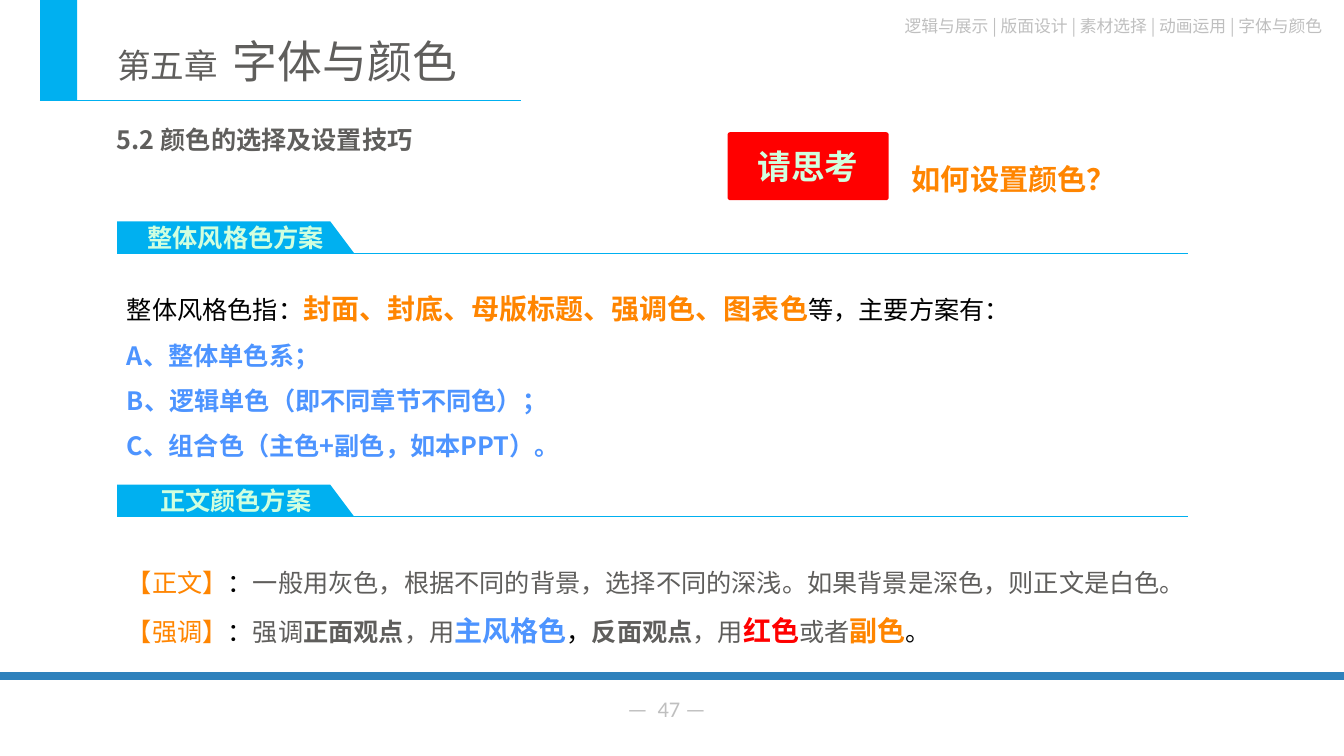
from lxml.etree import SubElement
from pptx import Presentation
from pptx.dml.color import RGBColor
from pptx.enum.shapes import MSO_CONNECTOR as Connector, MSO_SHAPE as Shape
from pptx.enum.text import MSO_ANCHOR as Anchor, PP_ALIGN as Align
from pptx.oxml.ns import qn
from pptx.util import Pt

EMU_PER_PX = 9080
ACCENT, ORANGE, BLUE, RED = "00B0F0", "FF8500", "4D94FF", "FF0000"
GRAY, PALE, MINT, BLACK, BAR = "5F5E5C", "BFBFBF", "D1FFDF", "000000", "2E81BC"


def px(*lengths):
    return [length * EMU_PER_PX for length in lengths]


def color(value):
    return RGBColor.from_string(value)


class ColorSlide:
    """Holds the font and the current page, and draws each kind of element."""

    def __init__(self, page, font="Noto Sans CJK SC"):
        self.page = page
        self.shapes = page.shapes
        self.font = font

    def fill_text(self, frame, lines, spacing=1.0, align=Align.LEFT, anchor=Anchor.TOP, font=None, baseline=0):
        frame.word_wrap = True
        frame.vertical_anchor = anchor
        for index, line in enumerate(lines):
            para = frame.add_paragraph() if index else frame.paragraphs[0]
            para.alignment = align
            para.line_spacing = spacing
            for words, tone, size, bold in line:
                span = para.add_run()
                span.text = words
                span.font.size = Pt(size)
                span.font.bold = bold
                span.font.color.rgb = color(tone)
                span.font.name = font or self.font
                props = span._r.get_or_add_rPr()
                SubElement(props, qn("a:ea")).set("typeface", font or self.font)
                if baseline:
                    props.set("baseline", str(baseline * 1000))

    def text(self, area, lines, **style):
        box = self.shapes.add_textbox(*px(*area))
        self.fill_text(box.text_frame, lines, **style)

    def line(self, start, end, tone=ACCENT, width=0.75):
        rule = self.shapes.add_connector(Connector.STRAIGHT, *px(*start, *end))
        rule.line.color.rgb = color(tone)
        rule.line.width = Pt(width)
        SubElement(rule._element.spPr, qn("a:effectLst"))

    def paint(self, shape, tone):
        shape.shadow.inherit = False
        shape.fill.solid()
        shape.fill.fore_color.rgb = color(tone)
        shape.line.fill.background()
        return shape

    def block(self, kind, area, tone):
        return self.paint(self.shapes.add_shape(kind, *px(*area)), tone)

    def label(self, shape, words, size):
        self.fill_text(shape.text_frame, [[(words, MINT, size, True)]],
                       align=Align.CENTER, anchor=Anchor.MIDDLE)

    def section(self, top, words):
        left, corner, right, bottom = 117, 330, 354, top + 32
        self.line((left, bottom), (1187, bottom))
        outline = self.shapes.build_freeform(left, top, scale=EMU_PER_PX)
        outline.add_line_segments([(corner, top), (right, bottom), (left, bottom)], close=True)
        self.label(self.paint(outline.convert_to_shape(), ACCENT), words, 18)


def main():
    deck = Presentation()
    deck.slide_width, deck.slide_height = px(1343, 755)
    slide = ColorSlide(deck.slides.add_slide(deck.slide_layouts[6]))

    slide.text((894, 11, 449, 30),
               [[("逻辑与展示 | 版面设计 | 素材选择 | 动画运用 | 字体与颜色", PALE, 12, False)]])
    slide.text((617, 689, 108, 37), [[("—  47 —", PALE, 16, False)]], font="Calibri")
    slide.line((0, 675), (1343, 675), BAR, 6)
    slide.block(Shape.RECTANGLE, (40, 0, 37, 100), ACCENT)
    slide.line((40, 100), (521, 100))
    slide.text((107, 29, 415, 64),
               [[("第五章  ", GRAY, 24, False), ("字体与颜色", GRAY, 32, False)]])
    slide.text((107, 110, 581, 45), [[("5.2 颜色的选择及设置技巧", GRAY, 18, True)]], spacing=1.3)

    schemes = ["A、整体单色系；", "B、逻辑单色（即不同章节不同色）；", "C、组合色（主色+副色，如本PPT）。"]
    slide.text((117, 269, 1070, 198), [
        [("整体风格色指：", BLACK, 18, False),
         ("封面、封底、母版标题、强调色、图表色", ORANGE, 20, True),
         ("等，主要方案有：", BLACK, 18, False)],
        *[[(scheme, BLUE, 18, True)] for scheme in schemes],
    ], spacing=1.5)

    slide.section(221, "整体风格色方案")
    slide.section(484, "正文颜色方案")

    slide.text((117, 546, 1070, 107), [
        [("【正文】", ORANGE, 18, False), ("：", BLACK, 18, False),
         ("一般用灰色，根据不同的背景，选择不同的深浅。如果背景是深色，则正文是白色。", GRAY, 18, False)],
        [("【强调】", ORANGE, 18, False), ("：", BLACK, 18, False),
         ("强调", GRAY, 18, False), ("正面观点", GRAY, 18, True), ("，用", GRAY, 18, False),
         ("主风格色", BLUE, 20, True), ("，", BLACK, 18, False),
         ("反面观点", GRAY, 18, True), ("，用", GRAY, 18, False),
         ("红色", RED, 20, True), ("或者", GRAY, 18, False),
         ("副色", ORANGE, 20, True), ("。", BLACK, 18, False)],
    ], spacing=1.5)

    slide.text((901, 137, 356, 50), [[("如何设置颜色？", ORANGE, 36, True)]],
               anchor=Anchor.MIDDLE, baseline=-25)
    button = slide.block(Shape.ROUNDED_RECTANGLE, (727, 132, 161, 68), RED)
    button.adjustments[0] = 0.04
    slide.label(button, "请思考", 24)

    deck.save("out.pptx")


if __name__ == "__main__":
    main()
